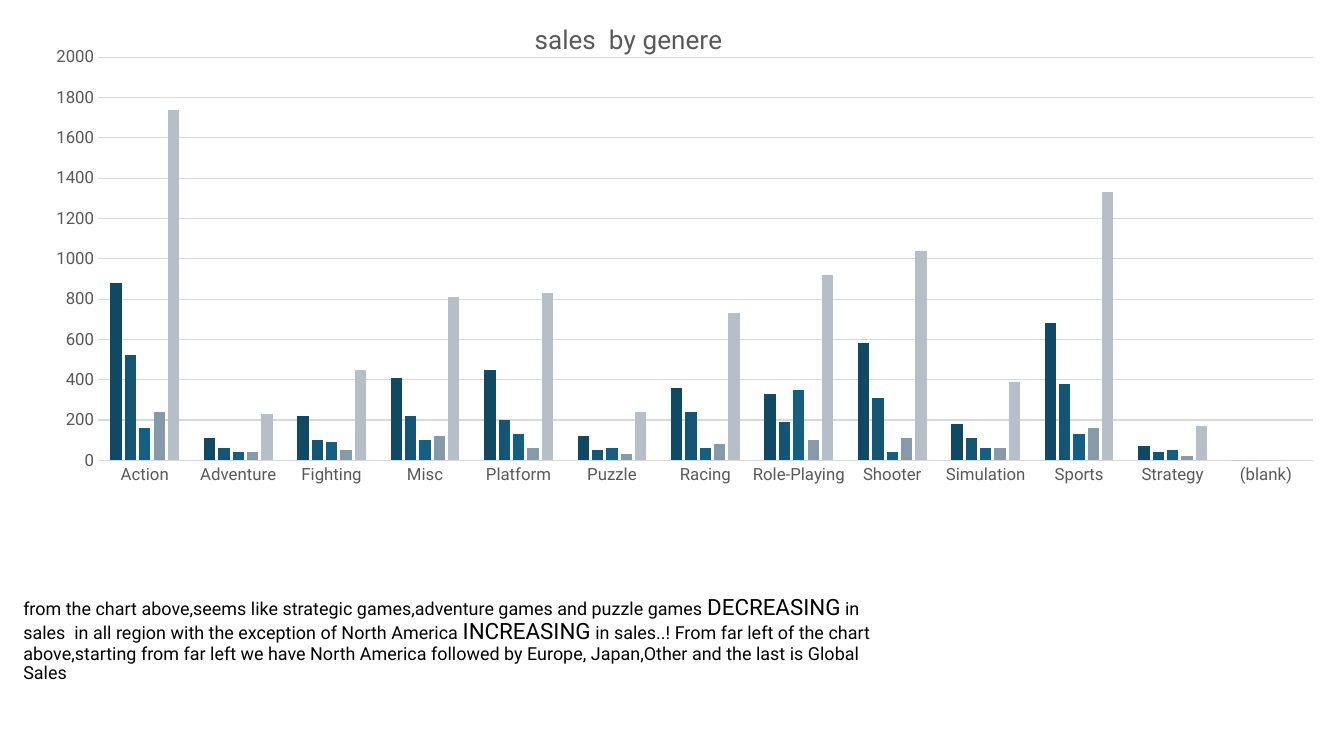
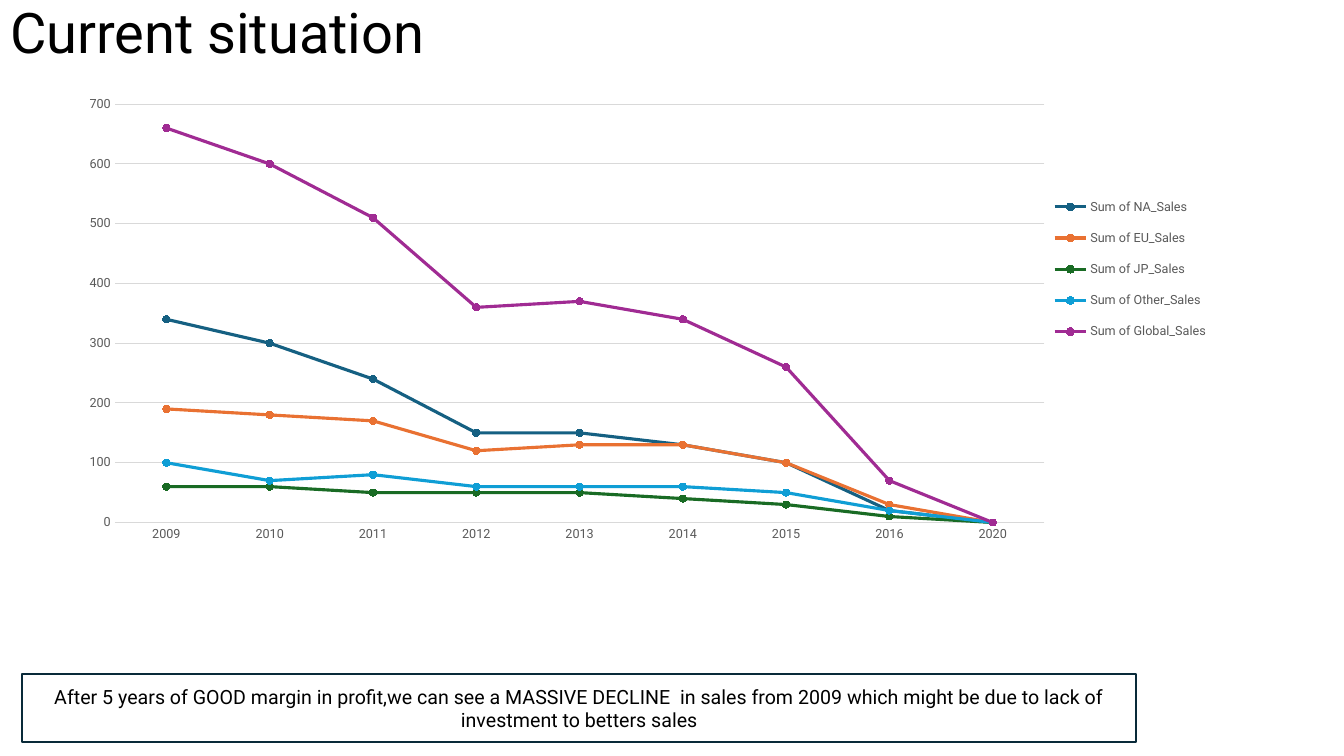
"""Builds two slides on game sales: by genre and by year."""
from lxml import etree
from pptx import Presentation
from pptx.chart.data import CategoryChartData
from pptx.dml.color import RGBColor
from pptx.enum.chart import XL_CHART_TYPE, XL_LEGEND_POSITION, XL_MARKER_STYLE, XL_TICK_MARK
from pptx.enum.shapes import MSO_SHAPE
from pptx.enum.text import MSO_ANCHOR, MSO_AUTO_SIZE, PP_ALIGN
from pptx.oxml.ns import qn
from pptx.util import Pt

COLUMNS = XL_CHART_TYPE.COLUMN_CLUSTERED
LINES = XL_CHART_TYPE.LINE_MARKERS
LEGEND_RIGHT = XL_LEGEND_POSITION.RIGHT
CIRCLE = XL_MARKER_STYLE.CIRCLE
NO_TICK = XL_TICK_MARK.NONE
RECTANGLE = MSO_SHAPE.RECTANGLE
TOP, MIDDLE = MSO_ANCHOR.TOP, MSO_ANCHOR.MIDDLE
NO_AUTOFIT = MSO_AUTO_SIZE.NONE
LEFT, CENTER = PP_ALIGN.LEFT, PP_ALIGN.CENTER

FONT = "Roboto"
TITLE_ONLY = 5
COLORS = {
    "text": "000000", "label": "595959", "grid": "D9D9D9",
    "paper": "FFFFFF", "frame": "092A39",
    "navy": "104963", "petrol": "135573", "blue": "156082",
    "slate": "879AAA", "silver": "B6BFC8",
    "orange": "E97132", "green": "196B24", "sky": "0F9ED5", "purple": "A02B93",
}

GENRES = ["Action", "Adventure", "Fighting", "Misc", "Platform", "Puzzle", "Racing",
          "Role-Playing", "Shooter", "Simulation", "Sports", "Strategy", "(blank)"]
GENRE_SALES = [
    ("Series 1", "navy", [880, 110, 220, 410, 450, 120, 360, 330, 580, 180, 680, 70, 0]),
    ("Series 2", "petrol", [520, 60, 100, 220, 200, 50, 240, 190, 310, 110, 380, 40, 0]),
    ("Series 3", "blue", [160, 40, 90, 100, 130, 60, 60, 350, 40, 60, 130, 50, 0]),
    ("Series 4", "slate", [240, 40, 50, 120, 60, 30, 80, 100, 110, 60, 160, 20, 0]),
    ("Series 5", "silver", [1740, 230, 450, 810, 830, 240, 730, 920, 1040, 390, 1330, 170, 0]),
]
YEARS = ["2009", "2010", "2011", "2012", "2013", "2014", "2015", "2016", "2020"]
YEAR_SALES = [
    ("Sum of NA_Sales", "blue", [340, 300, 240, 150, 150, 130, 100, 20, 0]),
    ("Sum of EU_Sales", "orange", [190, 180, 170, 120, 130, 130, 100, 30, 0]),
    ("Sum of JP_Sales", "green", [60, 60, 50, 50, 50, 40, 30, 10, 0]),
    ("Sum of Other_Sales", "sky", [100, 70, 80, 60, 60, 60, 50, 20, 0]),
    ("Sum of Global_Sales", "purple", [660, 600, 510, 360, 370, 340, 260, 70, 0]),
]


class Deck:
    def __init__(self):
        self.presentation = Presentation()
        self.presentation.slide_width = Pt(960)
        self.presentation.slide_height = Pt(540)
        self.slide = None

    def add_slide(self):
        layout = self.presentation.slide_layouts[TITLE_ONLY]
        self.slide = self.presentation.slides.add_slide(layout)

    def style_font(self, font, size, color="text"):
        font.name = FONT
        font.size = Pt(size)
        font.bold = False
        font.color.rgb = RGBColor.from_string(COLORS[color])

    def paint(self, fill, color):
        fill.solid()
        fill.fore_color.rgb = RGBColor.from_string(COLORS[color])

    def draw_line(self, line, color, width):
        self.paint(line.fill, color)
        line.width = Pt(width)

    def title(self, box, pieces, margin_top=3.6):
        shape = self.slide.shapes.title
        shape.left, shape.top, shape.width, shape.height = map(Pt, box)
        frame = shape.text_frame
        frame.auto_size = NO_AUTOFIT
        frame.vertical_anchor = TOP
        frame.margin_top = Pt(margin_top)
        paragraph = frame.paragraphs[0]
        paragraph.alignment = LEFT
        paragraph.line_spacing = 0.9
        for text, size in pieces:
            run = paragraph.add_run()
            run.text = text
            self.style_font(run.font, size)

    def framed_note(self, box, text, size):
        shape = self.slide.shapes.add_shape(RECTANGLE, *map(Pt, box))
        shape.shadow.inherit = False
        self.paint(shape.fill, "paper")
        self.draw_line(shape.line, "frame", 1.5)
        frame = shape.text_frame
        frame.word_wrap = True
        frame.vertical_anchor = MIDDLE
        frame.text = text
        paragraph = frame.paragraphs[0]
        paragraph.alignment = CENTER
        self.style_font(paragraph.runs[0].font, size)

    def chart(self, kind, box, categories, series_rows, label_size, maximum, step, plot_area):
        data = CategoryChartData()
        data.categories = categories
        for name, _, values in series_rows:
            data.add_series(name, values)
        chart = self.slide.shapes.add_chart(kind, *map(Pt, box), data).chart
        self.style_font(chart.font, 10)
        chart.has_title = False
        chart.has_legend = False
        plot = chart.plots[0]
        plot.vary_by_categories = False
        for series, (_, color, _) in zip(plot.series, series_rows):
            if kind == LINES:
                self.style_line_series(series, color)
            else:
                self.paint(series.format.fill, color)
        for axis in (chart.category_axis, chart.value_axis):
            axis.major_tick_mark = axis.minor_tick_mark = NO_TICK
            self.style_font(axis.tick_labels.font, label_size, "label")
        self.draw_line(chart.category_axis.format.line, "grid", 0.75)
        value_axis = chart.value_axis
        value_axis.minimum_scale = 0
        value_axis.maximum_scale = maximum
        value_axis.major_unit = step
        value_axis.format.line.fill.background()
        self.draw_line(value_axis.major_gridlines.format.line, "grid", 0.75)
        self.place(chart, "plotArea", 0, plot_area)
        return chart

    def style_line_series(self, series, color):
        series.smooth = False
        self.draw_line(series.format.line, color, 2.25)
        series.marker.style = CIRCLE
        series.marker.size = 5
        self.paint(series.marker.format.fill, color)
        self.paint(series.marker.format.line.fill, color)

    def chart_title(self, chart, text, size, position):
        frame = chart.chart_title.text_frame
        frame.text = text
        self.style_font(frame.paragraphs[0].runs[0].font, size, "label")
        self.place(chart, "title", 1, position)

    def chart_legend(self, chart, size, area):
        chart.has_legend = True
        chart.legend.position = LEGEND_RIGHT
        chart.legend.include_in_layout = False
        self.style_font(chart.legend.font, size, "label")
        self.place(chart, "legend", 1, area)

    def place(self, chart, part_name, index, fractions):
        part = chart.element.find(".//" + qn("c:" + part_name))
        for old_layout in part.findall(qn("c:layout")):
            part.remove(old_layout)
        layout = etree.Element(qn("c:layout"))
        manual = etree.SubElement(layout, qn("c:manualLayout"))
        settings = [("xMode", "edge"), ("yMode", "edge"), *zip("xywh", fractions)]
        if part_name == "plotArea":
            settings.insert(0, ("layoutTarget", "inner"))
        for name, value in settings:
            etree.SubElement(manual, qn("c:" + name)).set("val", str(value))
        part.insert(index, layout)


def genre_slide(deck):
    deck.add_slide()
    deck.title((9.4, 400, 626, 140), [
        ("from the chart above,seems like strategic games,adventure games and puzzle games ", 12.8),
        ("DECREASING", 16),
        (" in sales  in all region with the exception of North America ", 12.8),
        ("INCREASING", 16),
        (" in sales..! From far left of the chart above,starting from far left we have "
         "North America followed by Europe, Japan,Other and the last is Global Sales", 12.8),
    ], margin_top=26)
    chart = deck.chart(COLUMNS, (17.3, 8.6, 926, 366.5), GENRES, GENRE_SALES,
                       12, 2000, 200, (0.057, 0.088, 0.937, 0.786))
    chart.plots[0].gap_width = 219
    chart.plots[0].overlap = -27
    deck.chart_title(chart, "sales  by genere", 18.6, (0.39, 0.01))


def year_slide(deck):
    deck.add_slide()
    deck.title((0, 0, 828, 104.4), [("Current situation", 40)])
    chart = deck.chart(LINES, (49.7, 69, 828, 342.7), YEARS, YEAR_SALES,
                       9, 700, 100, (0.039, 0.016, 0.802, 0.872))
    deck.chart_legend(chart, 9, (0.84, 0.18, 0.15, 0.36))
    deck.framed_note((16, 481.7, 795.6, 48.2),
                     "After 5 years of GOOD margin in profit,we can see a MASSIVE DECLINE  in sales "
                     "from 2009 which might be due to lack of investment to betters sales", 14)


def main():
    deck = Deck()
    genre_slide(deck)
    year_slide(deck)
    deck.presentation.save("out.pptx")


if __name__ == "__main__":
    main()
